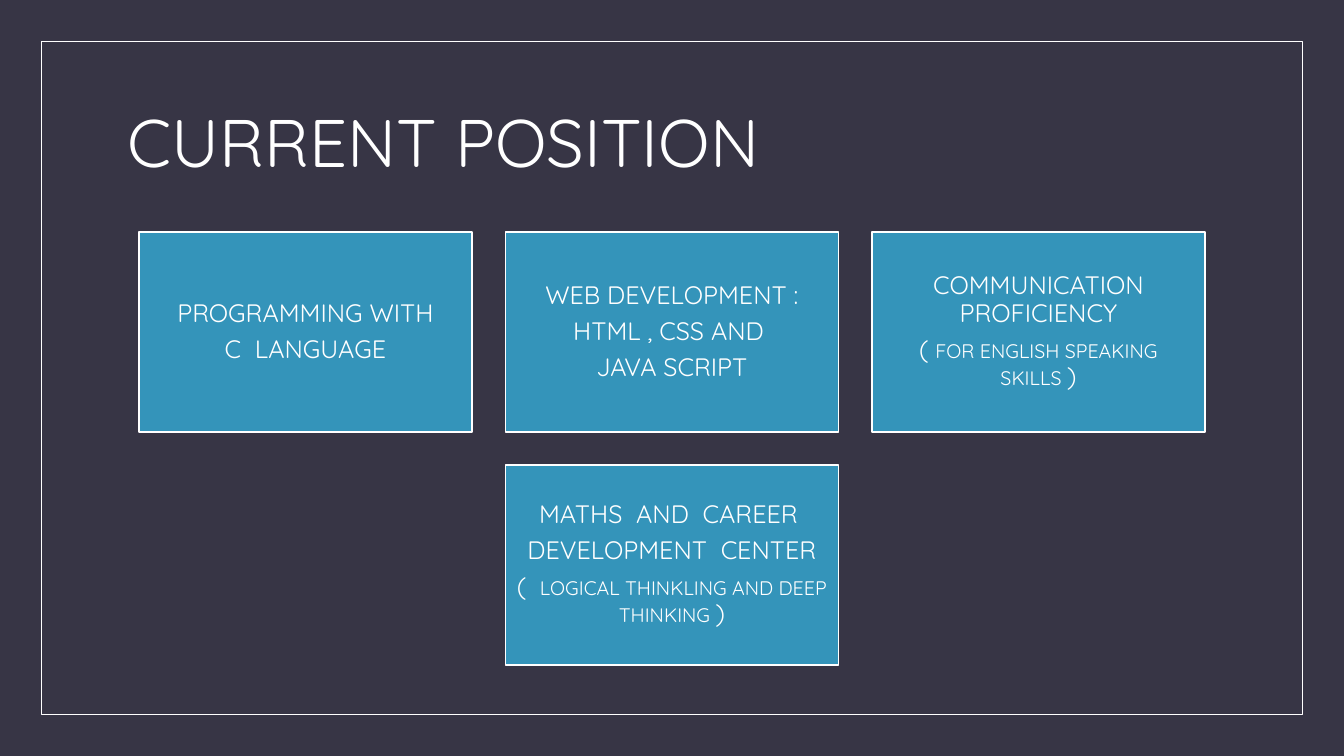
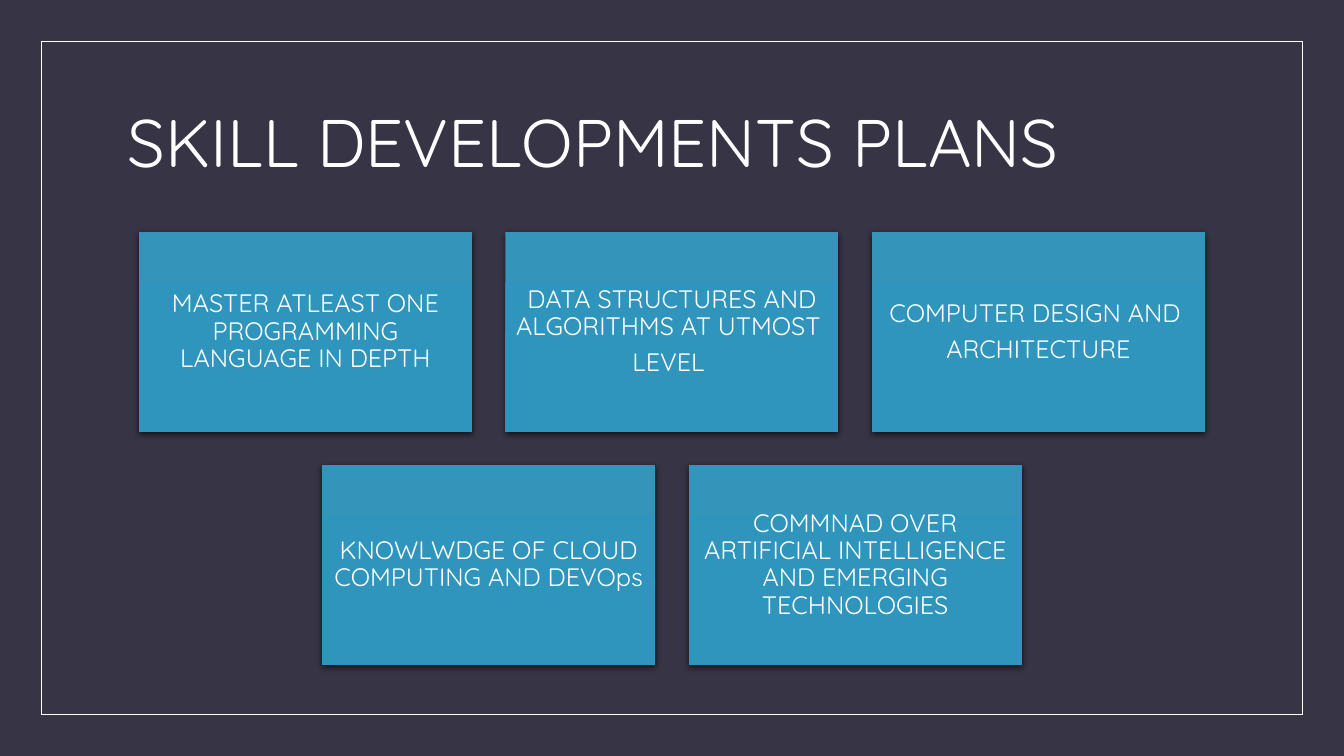
from copy import deepcopy

from lxml.etree import SubElement
from pptx import Presentation
from pptx.dml.color import RGBColor
from pptx.enum.shapes import MSO_SHAPE
from pptx.enum.text import MSO_ANCHOR, PP_ALIGN
from pptx.oxml.ns import qn
from pptx.util import Pt

PAGE_WIDTH, PAGE_HEIGHT = 960, 540
FRAME_MARGIN = 29.5
TITLE_BOX = (84, 50.4, 792, 108)
CARD_WIDTH, CARD_HEIGHT = 238, 142.8
CARD_GAP = CARD_WIDTH / 10
CARDS_TOP = 165.7
CARDS_PER_ROW = 3

FONT = "Quicksand"
BACKGROUND, WHITE, BLUE, BLACK = "373545", "FFFFFF", "3494BA", "000000"
GRADIENT = [(0, BLUE), (0.5, "3095BD"), (1, "3094BC")]
CARD_SIZE, NOTE_SIZE = 18, 14

POSITIONS = [
    ["PROGRAMMING WITH", "C  LANGUAGE"],
    ["WEB DEVELOPMENT :", "HTML , CSS AND ", "JAVA SCRIPT"],
    ["COMMUNICATION PROFICIENCY",
     [("( ", CARD_SIZE), ("FOR ENGLISH SPEAKING SKILLS ", NOTE_SIZE), (")", CARD_SIZE)]],
    ["MATHS  AND  CAREER ", "DEVELOPMENT  CENTER",
     [("(  ", CARD_SIZE), ("LOGICAL THINKLING AND DEEP THINKING ", NOTE_SIZE), (")", CARD_SIZE)]],
]
PLANS = [
    ["MASTER ATLEAST ONE PROGRAMMING LANGUAGE IN DEPTH"],
    ["DATA STRUCTURES AND ALGORITHMS AT UTMOST ", "LEVEL "],
    ["COMPUTER DESIGN AND ", "ARCHITECTURE"],
    ["KNOWLWDGE OF CLOUD COMPUTING AND DEVOps"],
    ["COMMNAD OVER ARTIFICIAL INTELLIGENCE AND EMERGING TECHNOLOGIES"],
]


def color(value):
    return RGBColor.from_string(value)


def write(shape, paragraphs, size, align=PP_ALIGN.LEFT, space_after=0, insets=(7.2, 3.6)):
    """Fill a shape with paragraphs, each a string or a list of (text, size) spans."""
    frame = shape.text_frame
    frame.word_wrap = True
    frame.vertical_anchor = MSO_ANCHOR.MIDDLE
    frame.margin_left = frame.margin_right = Pt(insets[0])
    frame.margin_top = frame.margin_bottom = Pt(insets[1])
    for index, content in enumerate(paragraphs):
        para = frame.add_paragraph() if index else frame.paragraphs[0]
        para.alignment = align
        para.line_spacing = 0.9
        para.space_after = Pt(space_after)
        spans = [(content, size)] if isinstance(content, str) else content
        for text, span_size in spans:
            span = para.add_run()
            span.text = text
            span.font.name = FONT
            span.font.size = Pt(span_size)
            span.font.color.rgb = color(WHITE)


def add_rectangle(page, box):
    shape = page.shapes.add_shape(MSO_SHAPE.RECTANGLE, *map(Pt, box))
    shape.shadow.inherit = False
    return shape


def outline(shape, width):
    shape.line.color.rgb = color(WHITE)
    shape.line.width = Pt(width)


def style_outlined(card):
    card.fill.solid()
    card.fill.fore_color.rgb = color(BLUE)
    outline(card, 1)


def style_raised(card):
    """Give a card a vertical gradient, no line and a soft shadow below."""
    card.fill.gradient()
    card.fill.gradient_angle = 270
    properties = card._element.spPr
    stop_list = properties.find(".//" + qn("a:gsLst"))
    stop_list.append(deepcopy(stop_list[-1]))
    for stop, (position, value) in zip(card.fill.gradient_stops, GRADIENT):
        stop.position = position
        stop.color.rgb = color(value)
    card.line.fill.background()
    shadow = SubElement(properties.find(qn("a:effectLst")), qn("a:outerShdw"),
                        blurRad=str(Pt(4.5)), dist=str(Pt(1.5)), dir="5400000",
                        algn="ctr", rotWithShape="0")
    shade = SubElement(shadow, qn("a:srgbClr"), val=BLACK)
    SubElement(shade, qn("a:alpha"), val="63000")


def add_card(page, box, paragraphs, style):
    card = add_rectangle(page, box)
    style(card)
    write(card, paragraphs, CARD_SIZE, align=PP_ALIGN.CENTER, space_after=6.3, insets=(5, 5))


def add_card_rows(page, cards, style):
    """Lay cards out in rows, each row centred on the page."""
    for start in range(0, len(cards), CARDS_PER_ROW):
        row = cards[start:start + CARDS_PER_ROW]
        row_width = len(row) * (CARD_WIDTH + CARD_GAP) - CARD_GAP
        left = (PAGE_WIDTH - row_width) / 2
        top = CARDS_TOP + start // CARDS_PER_ROW * (CARD_HEIGHT + CARD_GAP)
        for column, paragraphs in enumerate(row):
            box = (left + column * (CARD_WIDTH + CARD_GAP), top, CARD_WIDTH, CARD_HEIGHT)
            add_card(page, box, paragraphs, style)


def add_frame(page):
    frame = add_rectangle(page, (FRAME_MARGIN, FRAME_MARGIN,
                                 PAGE_WIDTH - 2 * FRAME_MARGIN, PAGE_HEIGHT - 2 * FRAME_MARGIN))
    frame.fill.background()
    outline(frame, 0.5)


def add_card_page(deck, title, cards, style):
    page = deck.slides.add_slide(deck.slide_layouts[6])
    page.background.fill.solid()
    page.background.fill.fore_color.rgb = color(BACKGROUND)
    add_frame(page)
    write(page.shapes.add_textbox(*map(Pt, TITLE_BOX)), [title], 48)
    add_card_rows(page, cards, style)


def main():
    deck = Presentation()
    deck.slide_width, deck.slide_height = Pt(PAGE_WIDTH), Pt(PAGE_HEIGHT)
    add_card_page(deck, "CURRENT POSITION", POSITIONS, style_outlined)
    add_card_page(deck, "SKILL DEVELOPMENTS PLANS", PLANS, style_raised)
    deck.save("out.pptx")


if __name__ == "__main__":
    main()
